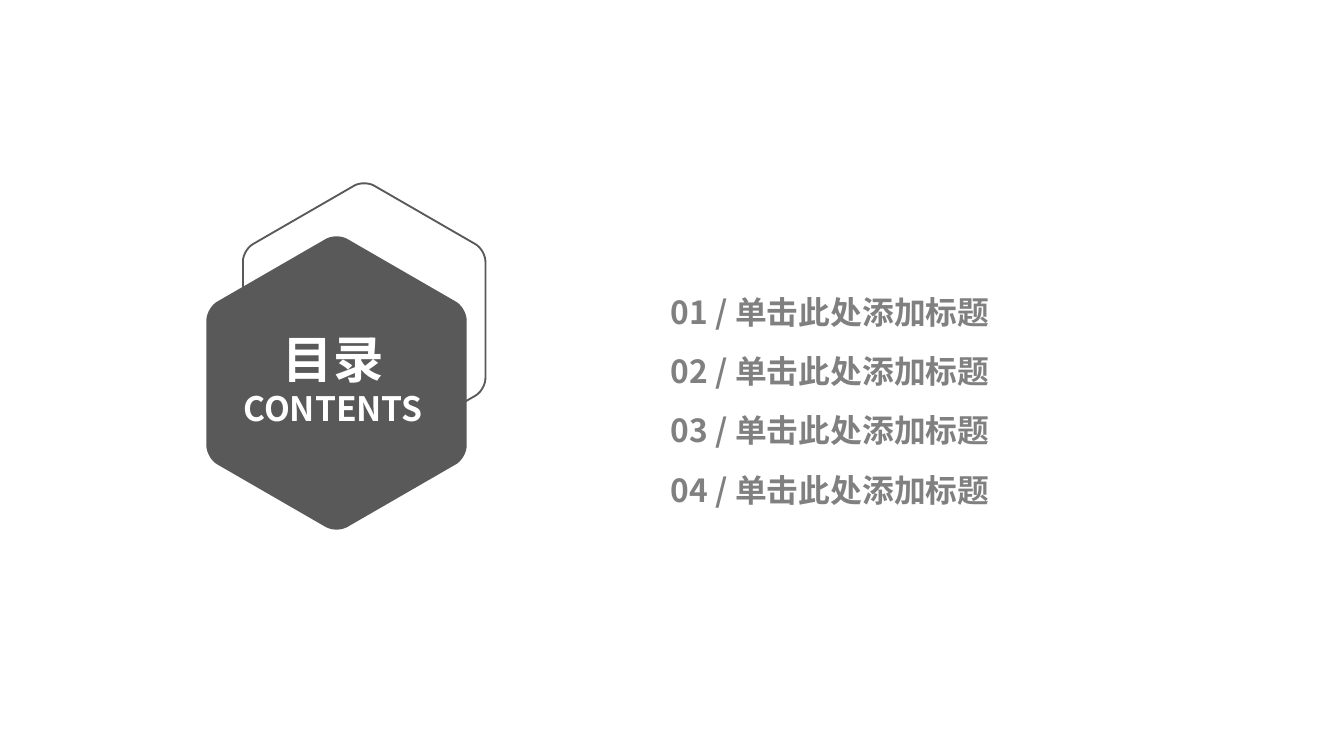
from math import cos, radians, sin

from lxml.etree import SubElement
from pptx import Presentation
from pptx.dml.color import RGBColor
from pptx.enum.text import MSO_ANCHOR, MSO_AUTO_SIZE, PP_ALIGN
from pptx.oxml.ns import qn
from pptx.util import Pt

FONT = "Noto Sans CJK SC"
DARK, GRAY, WHITE = "595959", "808080", "FFFFFF"
TRIM, PULL, STEPS = 0.083, 0.55, 10


def color(value):
    """Turn a hex string into a colour."""
    return RGBColor.from_string(value)


def between(start, end, share):
    """Return the point at a share of the way from start to end."""
    return tuple(a + (b - a) * share for a, b in zip(start, end))


def rounded_corner(before, corner, after):
    """Return points along the cubic curve that rounds a corner."""
    start, end = between(corner, before, TRIM), between(corner, after, TRIM)
    curve = (start, between(start, corner, PULL), between(end, corner, PULL), end)
    points = []
    for step in range(STEPS + 1):
        t = step / STEPS
        weights = ((1 - t) ** 3, 3 * t * (1 - t) ** 2, 3 * t * t * (1 - t), t ** 3)
        points.append(tuple(sum(w * p[axis] for w, p in zip(weights, curve))
                            for axis in (0, 1)))
    return points


def add_hexagon(slide, center, radius, fill=None, line=None):
    """Draw a pointed-top regular hexagon with rounded corners."""
    angles = [radians(60 * index - 90) for index in range(6)]
    corners = [(center[0] + radius * cos(a), center[1] + radius * sin(a)) for a in angles]
    points = [(Pt(x), Pt(y)) for index in range(6)
              for x, y in rounded_corner(corners[index - 1], corners[index],
                                         corners[(index + 1) % 6])]
    builder = slide.shapes.build_freeform(*points[0], scale=1.0)
    builder.add_line_segments(points[1:], close=True)
    shape = builder.convert_to_shape()
    shape.shadow.inherit = False
    if fill:
        shape.fill.solid()
        shape.fill.fore_color.rgb = color(fill)
    else:
        shape.fill.background()
    if line:
        shape.line.color.rgb = color(line)
        shape.line.width = Pt(1)
    else:
        shape.line.fill.background()


def format_text(shape, sizes, text_color, align, auto_size):
    """Format the text frame and one run size for each paragraph."""
    frame = shape.text_frame
    frame.word_wrap = True
    frame.auto_size = auto_size
    frame.vertical_anchor = MSO_ANCHOR.TOP
    frame.margin_left = frame.margin_right = Pt(5.4)
    frame.margin_top = frame.margin_bottom = Pt(2.7)
    for paragraph, size in zip(frame.paragraphs, sizes):
        paragraph.alignment = align
        for run in paragraph.runs:
            run.font.size = Pt(size)
            run.font.bold = True
            run.font.name = FONT
            run.font.color.rgb = color(text_color)
            SubElement(run.font._element, qn("a:ea")).set("typeface", FONT)


def add_entry(slide, number, top):
    """Add one numbered line of the contents list."""
    shape = slide.shapes.add_textbox(Pt(354), Pt(top), Pt(220), Pt(26))
    shape.text_frame.text = f"{number:02} / 单击此处添加标题"
    format_text(shape, [17], GRAY, PP_ALIGN.LEFT, MSO_AUTO_SIZE.SHAPE_TO_FIT_TEXT)


def place_title(slide):
    """Set the title and bring it in front of the hexagons."""
    title = slide.shapes.title
    title.left, title.top, title.width, title.height = Pt(113), Pt(172.8), Pt(131), Pt(60)
    title.text_frame.text = "目录\nCONTENTS"
    format_text(title, [27, 18], WHITE, PP_ALIGN.CENTER, MSO_AUTO_SIZE.NONE)
    slide.shapes._spTree.append(title._element)


def main():
    """Build the contents slide."""
    presentation = Presentation()
    presentation.slide_width, presentation.slide_height = Pt(720), Pt(405)
    slide = presentation.slides.add_slide(presentation.slide_layouts[5])
    add_hexagon(slide, (195.1, 171.4), 75, line=DARK)
    for index in range(4):
        add_entry(slide, index + 1, 154 + 31.8 * index)
    add_hexagon(slide, (180.3, 205.2), 80.5, fill=DARK)
    place_title(slide)
    presentation.save("out.pptx")


main()
